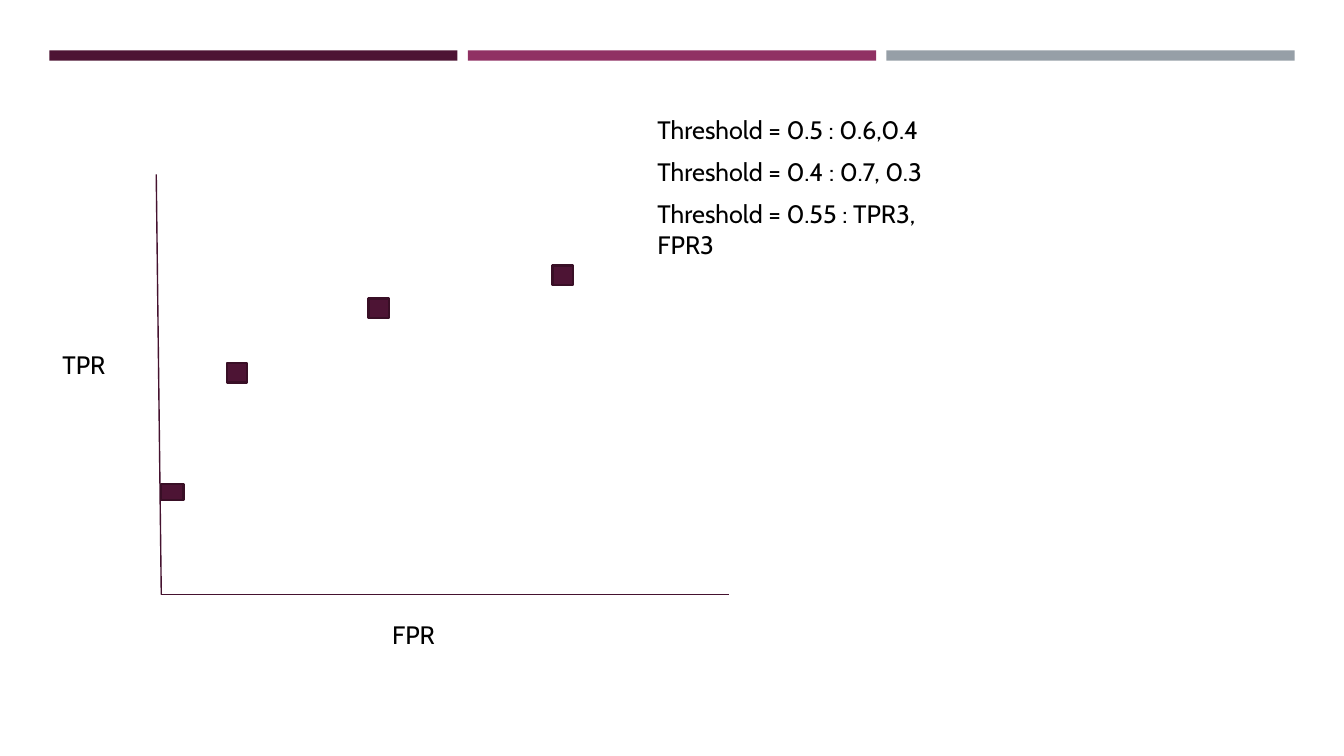
from dataclasses import dataclass

from lxml import etree
from pptx import Presentation
from pptx.dml.color import RGBColor
from pptx.enum.shapes import MSO_CONNECTOR, MSO_SHAPE
from pptx.oxml.ns import qn
from pptx.util import Pt

RECTANGLE = MSO_SHAPE.RECTANGLE
STRAIGHT = MSO_CONNECTOR.STRAIGHT


@dataclass(frozen=True)
class Theme:
    font: str = "Cabin"
    text_size: float = 18
    text: RGBColor = RGBColor(0x00, 0x00, 0x00)
    plum: RGBColor = RGBColor(0x4D, 0x14, 0x34)
    magenta: RGBColor = RGBColor(0x90, 0x31, 0x63)
    grey: RGBColor = RGBColor(0x96, 0x9F, 0xA7)
    axis: RGBColor = RGBColor(0x45, 0x12, 0x2F)
    marker_edge: RGBColor = RGBColor(0x39, 0x0F, 0x26)


THEME = Theme()

# All lengths are in points.
SLIDE_SIZE = (960, 540)
THRESHOLDS = [
    "Threshold = 0.5 : 0.6,0.4",
    "Threshold = 0.4 : 0.7, 0.3",
    "Threshold = 0.55 : TPR3, FPR3",
]
THRESHOLD_LEFT, THRESHOLD_TOP, THRESHOLD_PITCH, THRESHOLD_WIDTH = 462.5, 78, 30.2, 237
AXIS_LABELS = [("TPR", 37.5, 245.8), ("FPR", 273, 438.5)]
AXIS_LABEL_WIDTH, LINE_HEIGHT = 61, 29

ORIGIN = (115.2, 424.8)
AXIS_ENDS = [(111.6, 124.6), (520.6, 424.8)]
ROC_MARKERS = [  # left, top, width, height
    (115.2, 345.6, 16, 11.8),
    (162, 259.2, 14.6, 14),
    (263.2, 213.2, 14.6, 14),
    (394.8, 189.6, 14.6, 14),
]

BAND_COLOURS = [THEME.plum, THEME.magenta, THEME.grey]
BAND_LEFT, BAND_TOP, BAND_WIDTH, BAND_HEIGHT, BAND_GAP = 35.2, 36, 291.6, 7.4, 7.4


def add_block(slide, box, fill, edge=None):
    block = slide.shapes.add_shape(RECTANGLE, *map(Pt, box))
    block.shadow.inherit = False
    block.fill.solid()
    block.fill.fore_color.rgb = fill
    if edge is None:
        block.line.fill.background()
    else:
        block.line.color.rgb = edge
        block.line.width = Pt(1.75)


def add_axis(slide, start, end):
    axis = slide.shapes.add_connector(STRAIGHT, *map(Pt, start + end))
    axis.line.color.rgb = THEME.axis
    axis.line.width = Pt(1)
    etree.SubElement(axis._element.spPr, qn("a:effectLst"))


def add_label(slide, wording, left, top, width):
    label = slide.shapes.add_textbox(Pt(left), Pt(top), Pt(width), Pt(LINE_HEIGHT))
    label.text_frame.word_wrap = True
    label.text_frame.text = wording
    font = label.text_frame.paragraphs[0].runs[0].font
    font.name = THEME.font
    font.size = Pt(THEME.text_size)
    font.color.rgb = THEME.text


def main():
    prs = Presentation()
    prs.slide_width, prs.slide_height = map(Pt, SLIDE_SIZE)
    slide = prs.slides.add_slide(prs.slide_layouts.get_by_name("Blank"))

    for i, colour in enumerate(BAND_COLOURS):
        left = BAND_LEFT + i * (BAND_WIDTH + BAND_GAP)
        add_block(slide, (left, BAND_TOP, BAND_WIDTH, BAND_HEIGHT), colour)
    for end in AXIS_ENDS:
        add_axis(slide, ORIGIN, end)
    for wording, left, top in AXIS_LABELS:
        add_label(slide, wording, left, top, AXIS_LABEL_WIDTH)
    for i, wording in enumerate(THRESHOLDS):
        top = THRESHOLD_TOP + i * THRESHOLD_PITCH
        add_label(slide, wording, THRESHOLD_LEFT, top, THRESHOLD_WIDTH)
    for marker in ROC_MARKERS:
        add_block(slide, marker, THEME.plum, THEME.marker_edge)

    prs.save("out.pptx")


if __name__ == "__main__":
    main()
